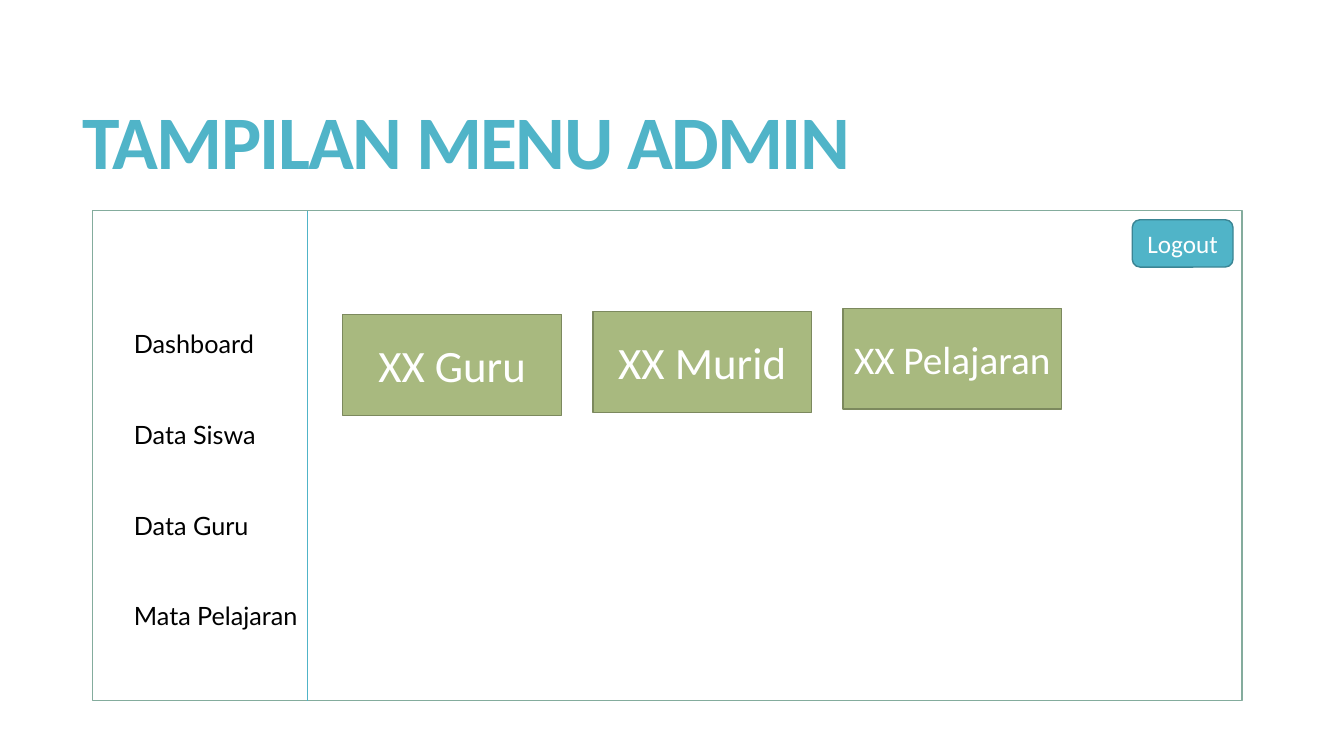
import pptx
import pptx.dml.color
import pptx.enum.shapes
import pptx.enum.text
import pptx.oxml.ns
import pptx.util
import lxml.etree

Inches = pptx.util.Inches
Pt = pptx.util.Pt
SHAPES = pptx.enum.shapes.MSO_SHAPE
ALIGN = pptx.enum.text.PP_ALIGN
ANCHOR = pptx.enum.text.MSO_ANCHOR

COLOURS = {
    "accent": "50B4C8",
    "accent_edge": "3B8594",
    "frame": "84AC9D",
    "card": "A8B97F",
    "card_edge": "7C895E",
    "white": "FFFFFF",
    "black": "000000",
}
MENU = ["Dashboard", "Data Siswa", "Data Guru", "Mata Pelajaran"]
CARDS = [("XX Guru", 32), ("XX Murid", 32), ("XX Pelajaran", 28)]


def colour(name):
    return pptx.dml.color.RGBColor.from_string(COLOURS[name])


def format_text(paragraph, size, tint, font="Calibri", bold=False):
    for run in paragraph.runs:
        run.font.size = Pt(size)
        run.font.name = font
        run.font.bold = bold
        run.font.color.rgb = colour(tint)


def add_block(slide, kind, box, fill, edge, label="", size=18):
    block = slide.shapes.add_shape(kind, *map(Inches, box))
    block.shadow.inherit = False
    block.fill.solid()
    block.fill.fore_color.rgb = colour(fill)
    block.line.color.rgb = colour(edge)
    block.line.width = Pt(1)
    if label:
        frame = block.text_frame
        frame.text = label
        frame.word_wrap = True
        frame.vertical_anchor = ANCHOR.MIDDLE
        frame.paragraphs[0].alignment = ALIGN.CENTER
        format_text(frame.paragraphs[0], size, "white")


def add_heading(slide, box):
    heading = slide.shapes.title
    heading.left, heading.top, heading.width, heading.height = map(Inches, box)
    frame = heading.text_frame
    frame.text = "TAMPILAN MENU ADMIN"
    frame.vertical_anchor = ANCHOR.MIDDLE
    frame.auto_size = pptx.enum.text.MSO_AUTO_SIZE.NONE
    line = frame.paragraphs[0]
    line.alignment = ALIGN.LEFT
    line.line_spacing = 0.85
    format_text(line, 54, "accent", bold=True)
    # Tightened letter spacing, in hundredths of a point
    line.runs[0].font._element.set("spc", "-120")


def add_sidebar(slide, box):
    left, top, width, height = box
    menu = slide.shapes.add_textbox(
        Inches(left + 0.31), Inches(top + 0.52), Inches(1.86), Inches(3.58))
    frame = menu.text_frame
    frame.word_wrap = True
    frame.text = "\n".join(MENU)
    for item in frame.paragraphs:
        item.line_spacing = 3.0
        format_text(item, 18, "black", "Lato")

    # Divider along the right edge
    edge = Inches(left + width)
    divider = slide.shapes.add_connector(
        pptx.enum.shapes.MSO_CONNECTOR.STRAIGHT,
        edge, Inches(top), edge, Inches(top + height))
    divider.line.color.rgb = colour("accent")
    divider.line.width = Pt(0.75)
    lxml.etree.SubElement(divider._element.spPr, pptx.oxml.ns.qn("a:effectLst"))


def add_dashboard(slide, box):
    left, top, width, height = box
    # Logout button in the top right corner
    add_block(slide, SHAPES.ROUNDED_RECTANGLE,
              (left + width - 1.09, top + 0.09, 1, 0.47),
              "accent", "accent_edge", "Logout")
    # Summary cards, each slightly higher than the one before
    for i, (label, size) in enumerate(CARDS):
        add_block(slide, SHAPES.RECTANGLE,
                  (left + 0.35 + 2.48 * i, top + 1.03 - 0.03 * i, 2.17, 1),
                  "card", "card_edge", label, size)


def add_admin_screen(slide, box):
    left, top, width, height = box
    sidebar_width = 2.13
    add_block(slide, SHAPES.RECTANGLE, box, "white", "frame")
    add_sidebar(slide, (left, top, sidebar_width, height))
    add_dashboard(slide, (left + sidebar_width, top, width - sidebar_width, height))


deck = pptx.Presentation()
deck.slide_width, deck.slide_height = Inches(13.33), Inches(7.5)
admin_slide = deck.slides.add_slide(deck.slide_layouts.get_by_name("Title Only"))
add_heading(admin_slide, (0.72, 0.55, 11.78, 1.81))
add_admin_screen(admin_slide, (0.92, 2.09, 11.4, 4.86))
deck.save("out.pptx")
